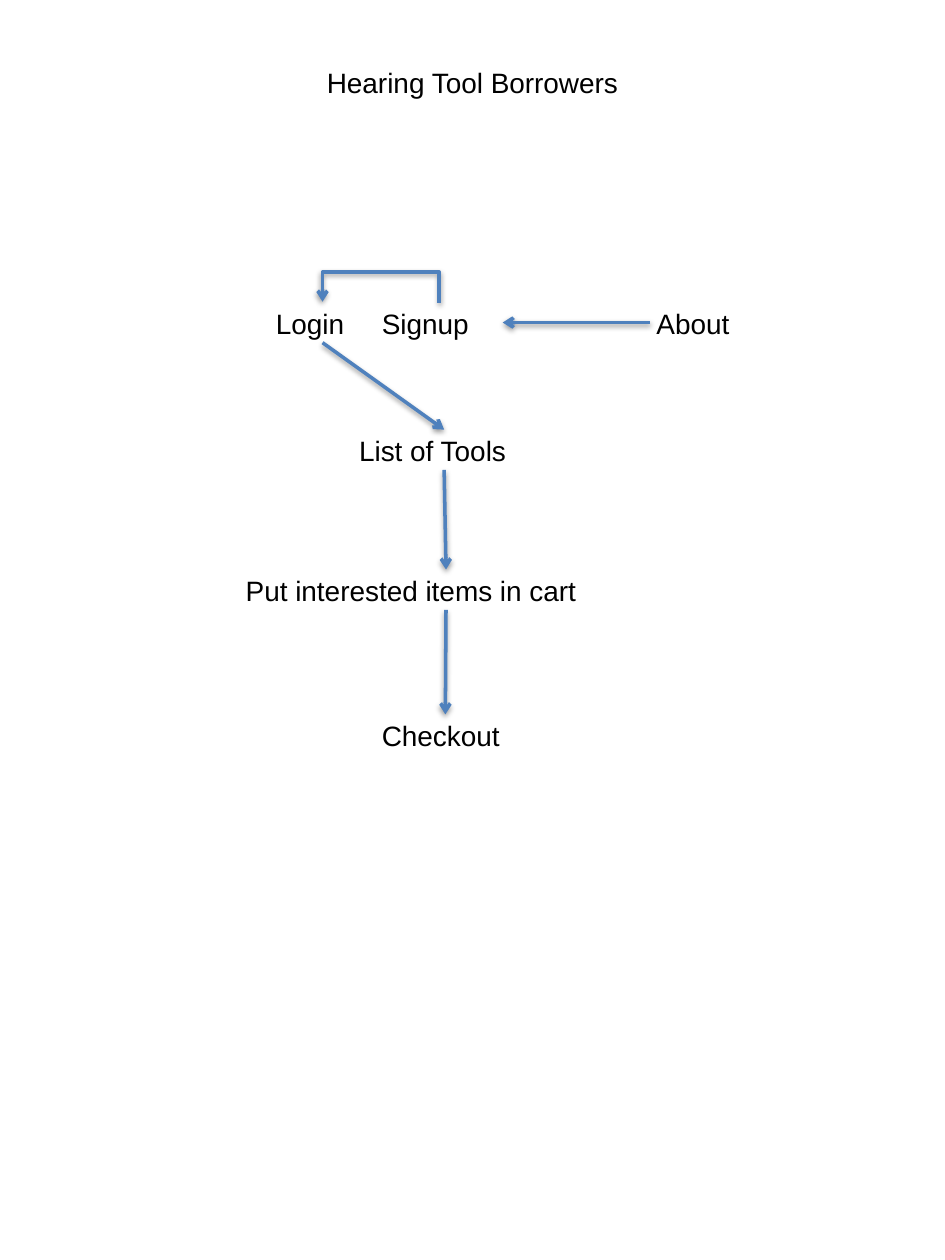
from lxml import etree
from pptx import Presentation
from pptx.dml.color import RGBColor
from pptx.enum.shapes import MSO_CONNECTOR
from pptx.enum.text import MSO_AUTO_SIZE, PP_ALIGN
from pptx.oxml import parse_xml
from pptx.oxml.ns import qn
from pptx.util import Inches, Pt

STRAIGHT, ELBOW = MSO_CONNECTOR.STRAIGHT, MSO_CONNECTOR.ELBOW
TOP, LEFT, BOTTOM, RIGHT = range(4)

# Content
W, H = 7.5, 10
BOX_H = 0.32
COLORS = {"text": "000000", "arrow": "4F81BD", "shadow": "000000"}
ROWS = {"title": 0.49, "entry": 2.4, "list": 3.41, "cart": 4.52, "checkout": 5.67}
LABELS = [  # text, row, left, width
    ("Hearing Tool Borrowers", "title", 0, W),
    ("About", "entry", 5.16, 0.78),
    ("Login", "entry", 2.14, 0.84),
    ("Signup", "entry", 2.98, 1.01),
    ("List of Tools", "list", 2.8, 1.45),
    ("Put interested items in cart", "cart", 1.9, 3.28),
    ("Checkout", "checkout", 2.98, 1.11),
]
STEPS = [  # from, side, to, side
    ("Login", BOTTOM, "List of Tools", TOP),
    ("List of Tools", BOTTOM, "Put interested items in cart", TOP),
    ("About", LEFT, "Signup", RIGHT),
    ("Put interested items in cart", BOTTOM, "Checkout", TOP),
]
LOOP_RISE = 0.25  # height of the Signup-to-Login loop
SHADOW = (
    '<a:effectLst xmlns:a="http://schemas.openxmlformats.org/drawingml/2006/main">'
    f'<a:outerShdw blurRad="{Pt(3.1)}" dist="{Pt(1.6)}" dir="5400000" rotWithShape="0">'
    f'<a:srgbClr val="{COLORS["shadow"]}"><a:alpha val="38000"/></a:srgbClr>'
    "</a:outerShdw></a:effectLst>"
)


def add_label(slide, text, row, left, width):
    sp = slide.shapes.add_textbox(
        Inches(left), Inches(ROWS[row]), Inches(width), Inches(BOX_H))
    tf = sp.text_frame
    tf.word_wrap = True
    tf.auto_size = MSO_AUTO_SIZE.SHAPE_TO_FIT_TEXT
    tf.margin_left = tf.margin_right = Inches(0.05)
    tf.margin_top = tf.margin_bottom = Inches(0.03)
    p = tf.paragraphs[0]
    p.alignment = PP_ALIGN.CENTER if row == "title" else PP_ALIGN.LEFT
    r = p.add_run()
    r.text = text
    r.font.name, r.font.size = "Arial", Pt(16)
    r.font.color.rgb = RGBColor.from_string(COLORS["text"])
    return sp


def add_arrow(slide, kind, *ends):
    cx = slide.shapes.add_connector(kind, *ends)
    cx.line.color.rgb = RGBColor.from_string(COLORS["arrow"])
    cx.line.width = Pt(2)
    sp_pr = cx._element.spPr
    etree.SubElement(sp_pr.find(qn("a:ln")), qn("a:tailEnd"), type="arrow")
    sp_pr.append(parse_xml(SHADOW))
    return cx


def add_loop(slide, start, end):
    """Bent arrow over the tops of two boxes: a tall thin elbow turned by 270 degrees."""
    x1, x2 = (sp.left + sp.width // 2 for sp in (start, end))
    mid, half, thin = (x1 + x2) // 2, (x1 - x2) // 2, Inches(0.01)
    cx = add_arrow(slide, ELBOW, mid - thin // 2, start.top + half,
                   mid + thin // 2, start.top - half)
    sp_pr = cx._element.spPr
    sp_pr.find(qn("a:xfrm")).set("rot", str(270 * 60000))
    guides = sp_pr.find(qn("a:prstGeom")).find(qn("a:avLst"))
    rise = round(Inches(LOOP_RISE) / thin * 100000)
    etree.SubElement(guides, qn("a:gd"), name="adj1", fmla=f"val {rise}")


def main():
    prs = Presentation()
    prs.slide_width, prs.slide_height = Inches(W), Inches(H)
    slide = prs.slides.add_slide(prs.slide_layouts[6])

    # Labels
    boxes = {label[0]: add_label(slide, *label) for label in LABELS}

    # Arrows between steps
    for start, side1, end, side2 in STEPS:
        cx = add_arrow(slide, STRAIGHT, 0, 0, 0, 0)
        cx.begin_connect(boxes[start], side1)
        cx.end_connect(boxes[end], side2)
    add_loop(slide, boxes["Signup"], boxes["Login"])

    prs.save("out.pptx")


if __name__ == "__main__":
    main()
